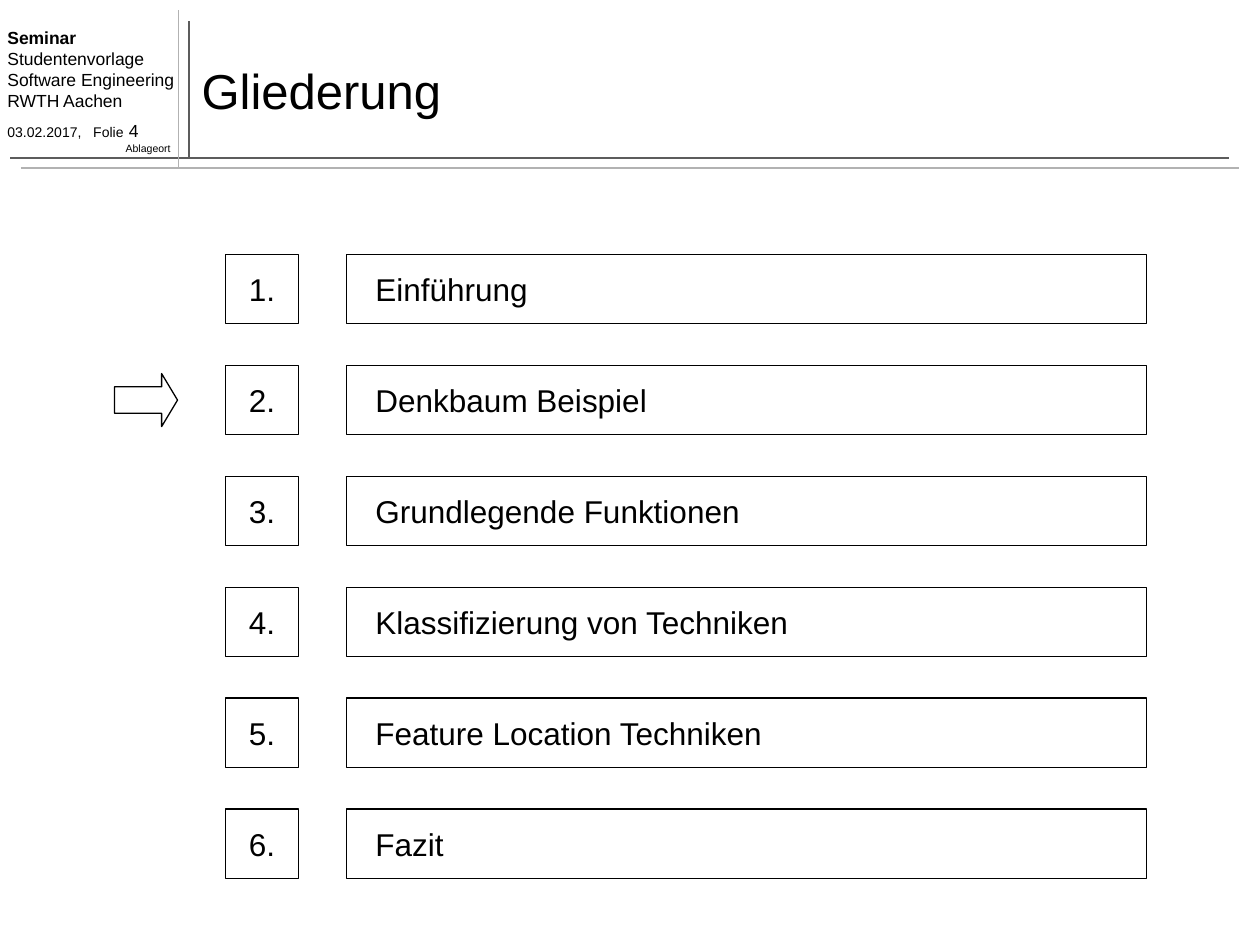
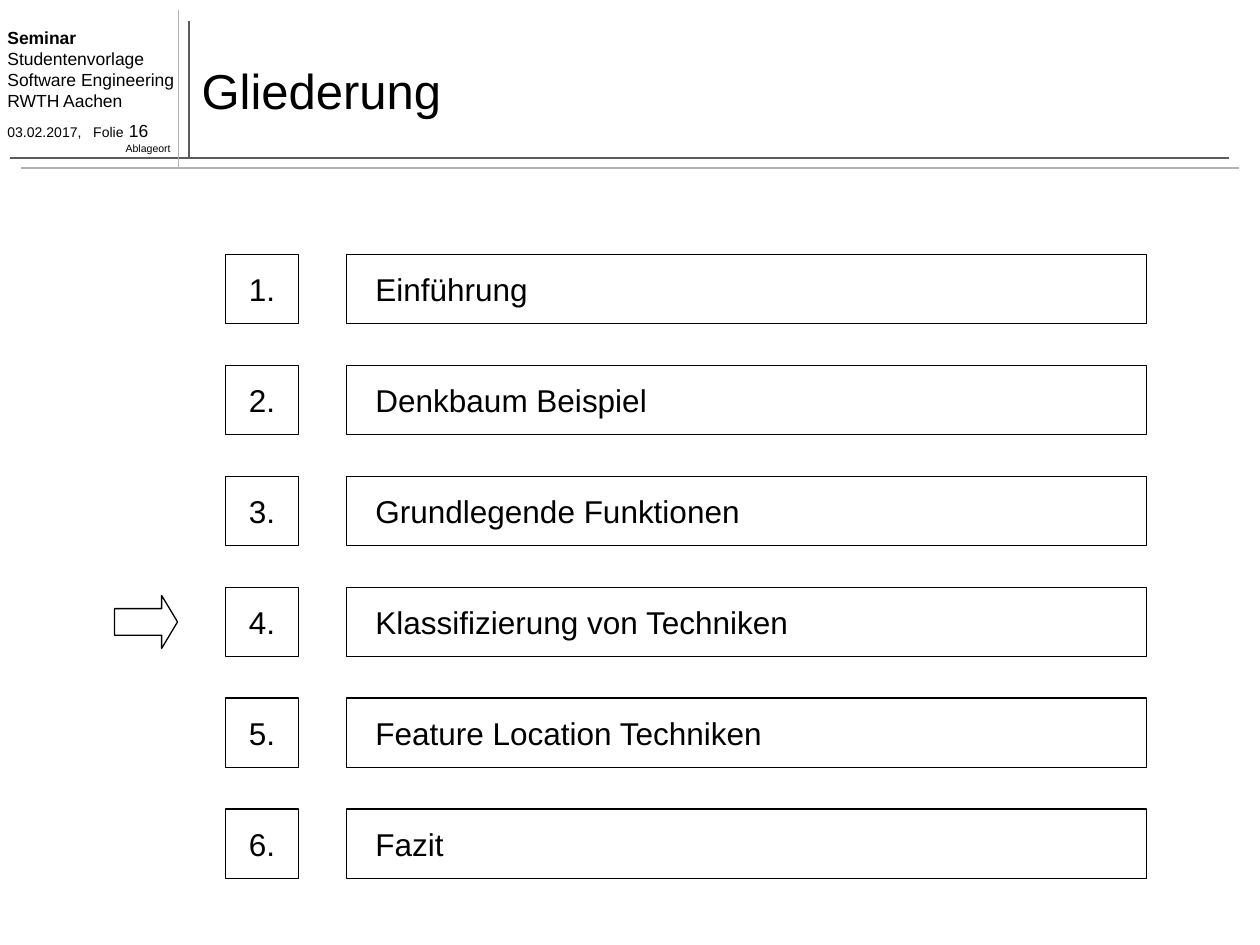
from lxml import etree
from pptx import Presentation
from pptx.dml.color import RGBColor
from pptx.enum.shapes import MSO_CONNECTOR, MSO_SHAPE
from pptx.enum.text import MSO_ANCHOR, MSO_AUTO_SIZE, PP_ALIGN
from pptx.oxml.ns import qn
from pptx.util import Cm, Pt

STRAIGHT = MSO_CONNECTOR.STRAIGHT
RECTANGLE = MSO_SHAPE.RECTANGLE
RIGHT_ARROW = MSO_SHAPE.RIGHT_ARROW
LEFT, CENTER, RIGHT = PP_ALIGN.LEFT, PP_ALIGN.CENTER, PP_ALIGN.RIGHT
MIDDLE = MSO_ANCHOR.MIDDLE
NO_AUTOFIT = MSO_AUTO_SIZE.NONE

FONT = "Arial"
BLACK, DARK_GREY, LIGHT_GREY = "000000", "5C5C5C", "B2B2B2"

# Start x, start y, end x, end y in cm, then colour
HEADER_RULES = [
    (3.81, 3.18, 3.81, 0.42, DARK_GREY),
    (0.21, 3.18, 24.77, 3.18, DARK_GREY),
    (0.42, 3.39, 24.98, 3.39, LIGHT_GREY),
    (3.6, 3.39, 3.6, 0.21, LIGHT_GREY),
]

CHAPTERS = [
    "Einführung",
    "Denkbaum Beispiel",
    "Grundlegende Funktionen",
    "Klassifizierung von Techniken",
    "Feature Location Techniken",
    "Fazit",
]
# Slide number and the chapter that its arrow marks
AGENDA_SLIDES = [(4, 2), (16, 4)]

FIRST_TOP, LAST_TOP = 5.13, 16.31
ROW_PITCH = (LAST_TOP - FIRST_TOP) / (len(CHAPTERS) - 1)
ROW_HEIGHT = 1.4
ARROW_HEIGHT = 1.07


def rgb(value):
    return RGBColor.from_string(value)


def set_attributes(target, values):
    for name, value in values.items():
        setattr(target, name, value)


def write(paragraph, text, size, bold=False):
    run = paragraph.add_run()
    run.text = text
    set_attributes(run.font, {"name": FONT, "size": Pt(size), "bold": bold})
    run.font.color.rgb = rgb(BLACK)


def add_rule(slide, x1, y1, x2, y2, color):
    rule = slide.shapes.add_connector(STRAIGHT, Cm(x1), Cm(y1), Cm(x2), Cm(y2))
    rule.line.color.rgb = rgb(color)
    rule.line.width = Pt(1)
    etree.SubElement(rule._element.spPr, qn("a:effectLst"))


def add_outline(slide, kind, left, top, width, height):
    outline = slide.shapes.add_shape(kind, Cm(left), Cm(top), Cm(width), Cm(height))
    outline.shadow.inherit = False
    outline.fill.background()
    outline.line.color.rgb = rgb(BLACK)
    outline.line.width = Pt(0.75)
    return outline


def add_labelled_box(slide, text, left, top, width, align, inset):
    box = add_outline(slide, RECTANGLE, left, top, width, ROW_HEIGHT)
    set_attributes(box.text_frame, {
        "vertical_anchor": MIDDLE,
        "word_wrap": True,
        "margin_left": Cm(inset),
        "margin_right": Cm(inset),
    })
    label = box.text_frame.paragraphs[0]
    label.alignment = align
    write(label, text, 18)


def add_seminar_block(slide, number):
    block = slide.shapes.add_textbox(Cm(-0.1), Cm(0.42), Cm(3.91), Cm(2.62))
    frame = block.text_frame
    frame.word_wrap = True
    write(frame.paragraphs[0], "Seminar", 10, bold=True)
    for line in ("Studentenvorlage", "Software Engineering", "RWTH Aachen"):
        write(frame.add_paragraph(), line, 10)
    date_line = frame.add_paragraph()
    date_line.space_before = Pt(5)
    write(date_line, "03.02.2017,   Folie", 8)
    write(date_line, f" {number}", 10)


def add_storage_note(slide):
    note = slide.shapes.add_textbox(Cm(2.26), Cm(2.74), Cm(1.43), Cm(0.5))
    note.text_frame.word_wrap = False
    line = note.text_frame.paragraphs[0]
    line.alignment = RIGHT
    write(line, "Ablageort", 6)


def set_title(slide, text):
    title = slide.shapes.title
    set_attributes(title, {
        "left": Cm(3.81), "top": Cm(0.64), "width": Cm(21.16), "height": Cm(2.33),
    })
    set_attributes(title.text_frame, {
        "vertical_anchor": MIDDLE, "auto_size": NO_AUTOFIT, "word_wrap": True,
    })
    heading = title.text_frame.paragraphs[0]
    heading.alignment = LEFT
    write(heading, text, 28)


def add_header(slide, number):
    for rule in HEADER_RULES:
        add_rule(slide, *rule)
    add_seminar_block(slide, number)
    add_storage_note(slide)


def add_agenda(slide, current):
    """List all chapters and point an arrow at the current one."""
    for position, chapter in enumerate(CHAPTERS, start=1):
        top = FIRST_TOP + (position - 1) * ROW_PITCH
        add_labelled_box(slide, f"{position}.", 4.55, top, 1.47, CENTER, 0.1)
        add_labelled_box(slide, chapter, 6.99, top, 16.13, LEFT, 0.58)
        if position == current:
            arrow_top = top + (ROW_HEIGHT - ARROW_HEIGHT) / 2
            arrow = add_outline(slide, RIGHT_ARROW, 2.31, arrow_top, 1.27, ARROW_HEIGHT)
            arrow.adjustments[0] = 0.5
            arrow.adjustments[1] = 0.3


def main():
    deck = Presentation()
    deck.slide_width, deck.slide_height = Cm(25.4), Cm(19.05)
    title_only = deck.slide_layouts[5]
    for number, current in AGENDA_SLIDES:
        slide = deck.slides.add_slide(title_only)
        add_header(slide, number)
        set_title(slide, "Gliederung")
        add_agenda(slide, current)
    deck.save("out.pptx")


if __name__ == "__main__":
    main()
